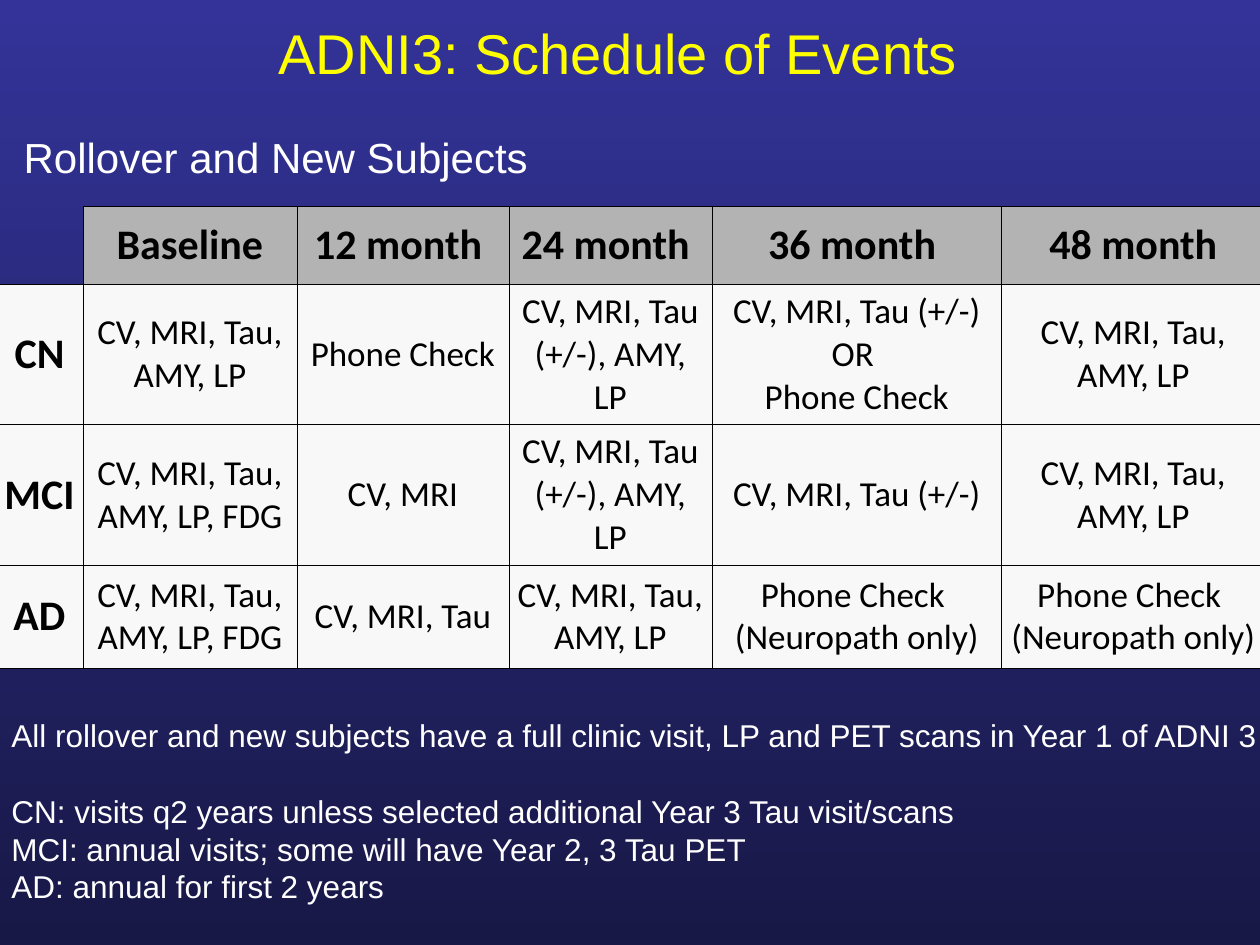
from lxml.etree import SubElement
from pptx import Presentation
from pptx.dml.color import RGBColor as RGB
from pptx.enum.text import MSO_ANCHOR as ANCHOR, PP_ALIGN as ALIGN
from pptx.oxml import parse_xml
from pptx.oxml.ns import nsdecls, qn
from pptx.util import Pt

PX = 914400 // 126  # EMU per px
COLORS = {
    "bg_top": "333399", "bg_bottom": "181847", "title": "FFFF00",
    "light": "FFFFFF", "dark": "000000", "header": "B3B3B3", "cell": "F8F8F8",
}
BODY_FONT, TABLE_FONT = "Arial", "Calibri"
CELL_MARGIN = 6
BORDER_WIDTH = Pt(0.45)


class Deck:
    def __init__(self, width, height):
        self.prs = Presentation()
        self.prs.slide_width, self.prs.slide_height = width * PX, height * PX
        self.s = self.prs.slides.add_slide(self.prs.slide_layouts[1])

    def background(self, top, bottom):
        fill = self.s.background.fill
        fill.gradient()
        fill.gradient_angle = 270
        for stop, color, pos in zip(fill.gradient_stops, (top, bottom), (0, 1)):
            stop.color.rgb = RGB.from_string(COLORS[color])
            stop.position = pos

    def run(self, p, text, size, color, font=BODY_FONT, bold=False):
        r = p.add_run()
        r.text = text
        r.font.size, r.font.name, r.font.bold = Pt(size), font, bold
        r.font.color.rgb = RGB.from_string(COLORS[color])

    def place(self, sp, x, y, w, h):
        sp.left, sp.top, sp.width, sp.height = (v * PX for v in (x, y, w, h))

    def title(self, text, box):
        sp = self.s.shapes.title
        self.place(sp, *box)
        tf = sp.text_frame
        tf.vertical_anchor = ANCHOR.MIDDLE
        p = tf.paragraphs[0]
        p.alignment = ALIGN.CENTER
        self.run(p, text, 32, "title")

    def body(self, text, box, margin_top):
        sp = self.s.placeholders[1]
        self.place(sp, *box)
        tf = sp.text_frame
        tf.margin_top = margin_top * PX
        p = tf.paragraphs[0]
        p.space_before = Pt(0)
        pPr = p._p.get_or_add_pPr()
        pPr.set("marL", "0")
        pPr.set("indent", "0")
        SubElement(pPr, qn("a:buNone"))
        self.run(p, text, 24, "light")

    def text_box(self, groups, box, line):
        sp = self.s.shapes.add_textbox(*(v * PX for v in box))
        tf = sp.text_frame
        tf.word_wrap = False
        p = tf.paragraphs[0]
        for g, lines in enumerate(groups):
            for i, text in enumerate(lines):
                if g or i:
                    p = tf.add_paragraph()
                p.line_spacing = Pt(line)
                if g and i == 0:
                    p.space_before = Pt(line)
                self.run(p, text, 18, "light")

    def borders(self, cell, sides):
        tcPr = cell._tc.get_or_add_tcPr()
        for i, side in enumerate("LRTB"):
            paint = (f'<a:solidFill><a:srgbClr val="{COLORS["dark"]}"/></a:solidFill>'
                     if side in sides else "<a:noFill/>")
            tcPr.insert(i, parse_xml(
                f'<a:ln{side} {nsdecls("a")} w="{BORDER_WIDTH}">{paint}</a:ln{side}>'))

    def cell(self, cell, text, fill, size, bold):
        cell.fill.solid()
        cell.fill.fore_color.rgb = RGB.from_string(COLORS[fill])
        cell.vertical_anchor = ANCHOR.MIDDLE
        cell.margin_left = cell.margin_right = CELL_MARGIN * PX
        cell.margin_top = cell.margin_bottom = CELL_MARGIN * PX
        tf = cell.text_frame
        for i, line in enumerate(text.split("\n")):
            p = tf.add_paragraph() if i else tf.paragraphs[0]
            p.alignment = ALIGN.CENTER
            self.run(p, line, size, "dark", TABLE_FONT, bold)
        self.borders(cell, "LRTB")

    def table(self, rows, x, y, widths, heights):
        frame = self.s.shapes.add_table(len(heights), len(widths), x * PX, y * PX,
                                        sum(widths) * PX, sum(heights) * PX)
        tbl = frame.table
        tbl.first_row = tbl.horz_banding = False
        for col, w in zip(tbl.columns, widths):
            col.width = w * PX
        for row, h in zip(tbl.rows, heights):
            row.height = h * PX
        for r, row in enumerate(rows):
            for c, text in enumerate(row):
                cell = tbl.cell(r, c)
                if not text:  # open corner
                    cell.fill.background()
                    self.borders(cell, "RB")
                    continue
                label = r == 0 or c == 0
                self.cell(cell, text, "cell" if r else "header",
                          24 if label else 20, label)


FULL = "CV, MRI, Tau, AMY, LP"
FULL_FDG = FULL + ", FDG"
OPTIONAL_TAU = "CV, MRI, Tau (+/-)"
OPTIONAL_FULL = OPTIONAL_TAU + ", AMY, LP"
PHONE = "Phone Check"
NEUROPATH = PHONE + " \n(Neuropath only)"

SCHEDULE = [
    ["", "Baseline", "12 month ", "24 month ", "36 month ", "48 month"],
    ["CN", FULL, PHONE, OPTIONAL_FULL, OPTIONAL_TAU + " OR \n" + PHONE, FULL],
    ["MCI", FULL_FDG, "CV, MRI", OPTIONAL_FULL, OPTIONAL_TAU, FULL],
    ["AD", FULL_FDG, "CV, MRI, Tau", FULL, NEUROPATH, NEUROPATH],
]
REMARKS = [
    ["All rollover and new subjects have a full clinic visit, LP and PET scans "
     "in Year 1 of ADNI 3"],
    ["CN: visits q2 years unless selected additional Year 3 Tau visit/scans",
     "MCI: annual visits; some will have Year 2, 3 Tau PET",
     "AD: annual for first 2 years"],
]


def main():
    deck = Deck(1260, 945)
    deck.background("bg_top", "bg_bottom")

    # Headings
    deck.title("ADNI3: Schedule of Events ", (-4, -26, 1260, 157))
    deck.body("Rollover and New Subjects", (11, 73, 1229, 567), 58)

    # Visit schedule
    deck.table(SCHEDULE, -4, 206, [87, 214, 212, 203, 290, 263], [78, 126, 126, 103])

    # Explanations below the table
    deck.text_box(REMARKS, (-1, 710, 1276, 277), 21.6)

    deck.prs.save("out.pptx")


if __name__ == "__main__":
    main()
